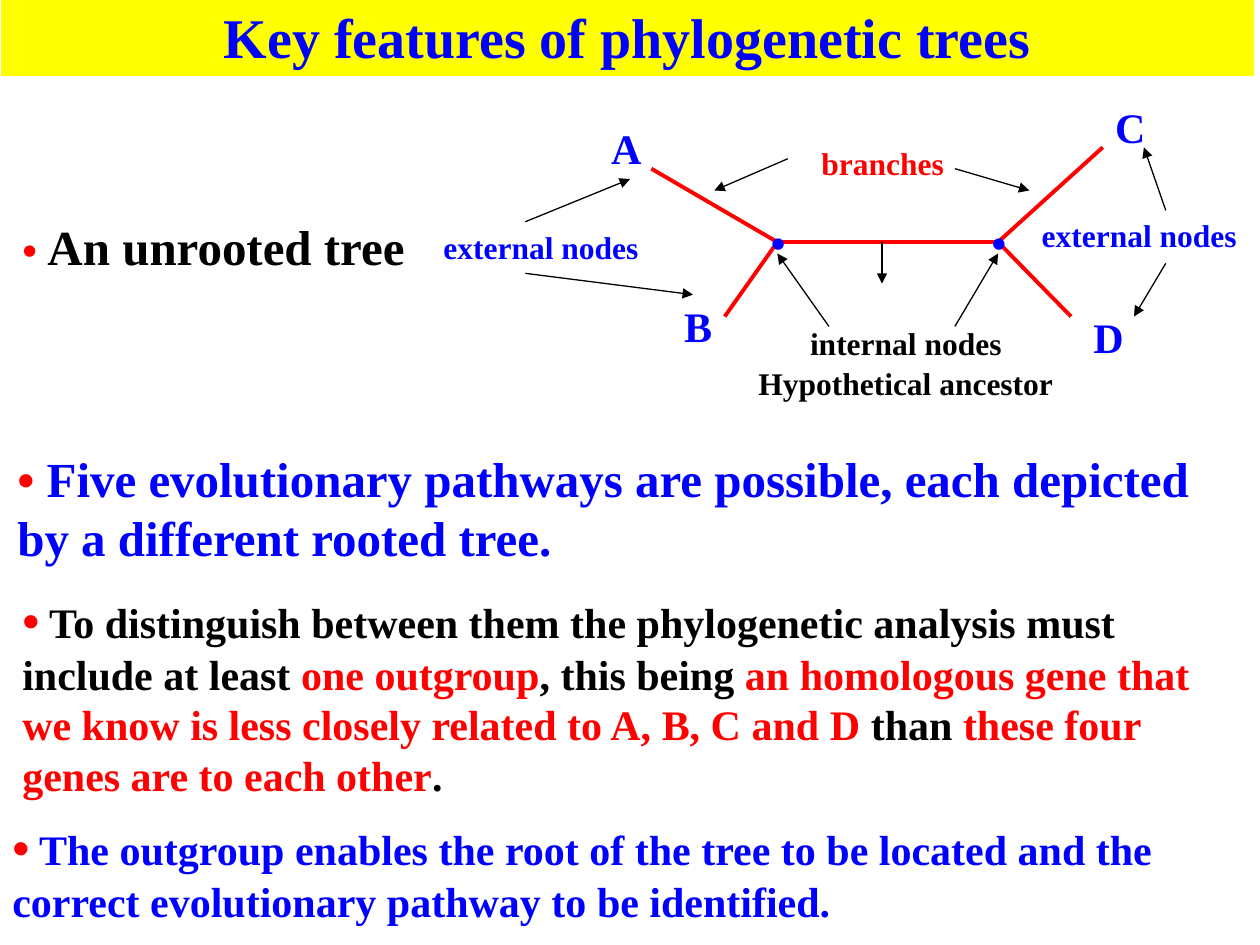
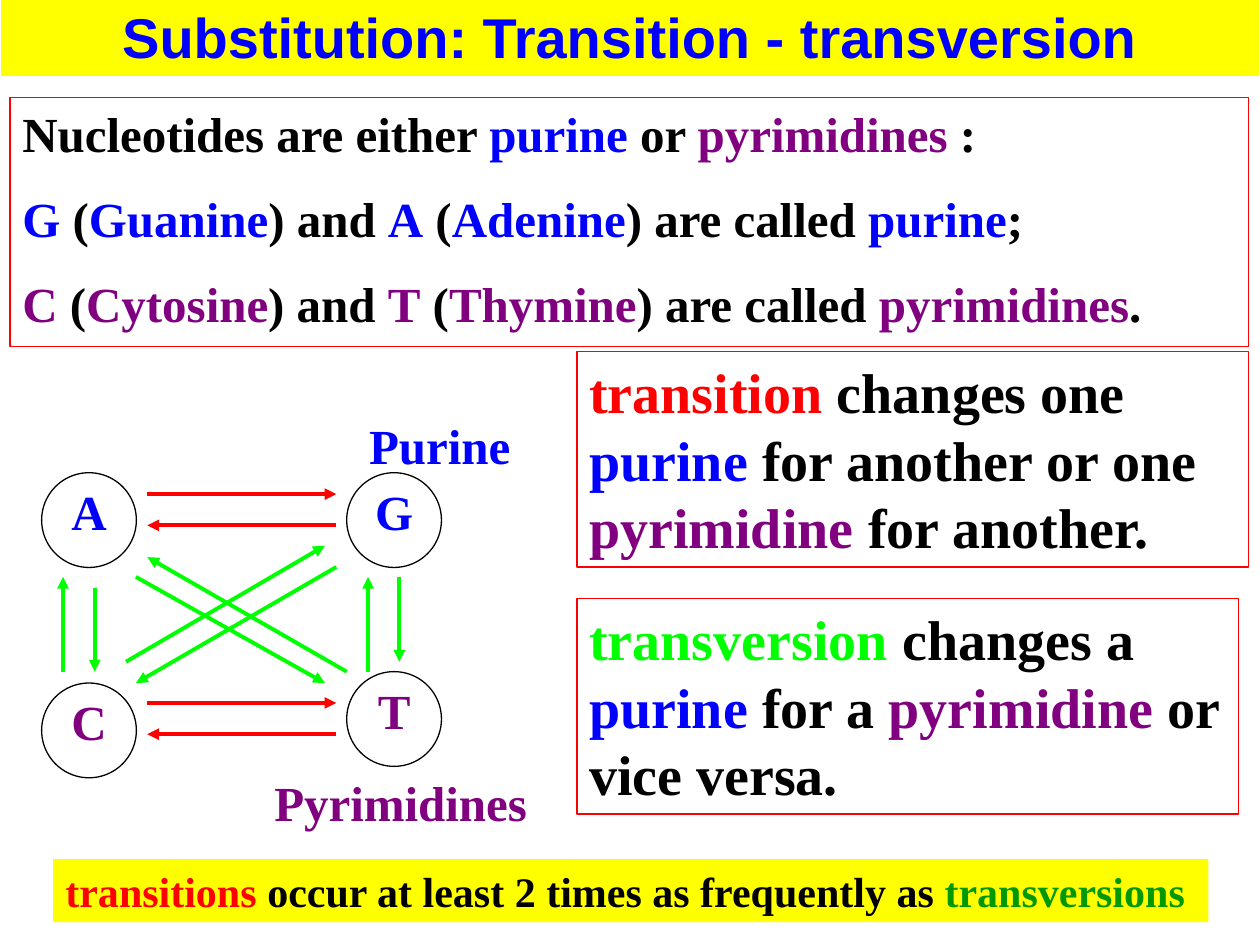
from dataclasses import dataclass
from lxml import etree
from pptx import Presentation
from pptx.dml.color import RGBColor
from pptx.enum import shapes, text
from pptx.oxml import ns
from pptx.util import Cm, Pt


@dataclass
class Theme:
    red: str = "FF0000"
    blue: str = "0000FF"
    black: str = "000000"
    white: str = "FFFFFF"
    yellow: str = "FFFF00"
    purple: str = "800080"
    green: str = "00FF00"
    forest: str = "009900"
    serif: str = "Times New Roman"
    sans: str = "Arial"
    title: int = 32
    large: int = 28
    body: int = 24
    label: int = 18
    thin: float = 0.75
    thick: float = 2.25
    gap: int = 15


t = Theme()
RECT = shapes.MSO_SHAPE.RECTANGLE
OVAL = shapes.MSO_SHAPE.OVAL
LEFT, MID = text.PP_ALIGN.LEFT, text.PP_ALIGN.CENTER


def put(host, at, paras, size, kind=None, fill=None, edge=None,
        face=t.serif, align=LEFT, **fmt):
    """Place a text box, a preset shape or the title; each run is (words, colour[, size])."""
    spot = [Cm(v) for v in at]
    if kind == "title":
        shape = host.title
        shape.left, shape.top, shape.width, shape.height = spot
    elif kind is None:
        shape = host.add_textbox(*spot)
    else:
        shape = host.add_shape(kind, *spot)
    shape.shadow.inherit = False
    if fill:
        shape.fill.solid()
        shape.fill.fore_color.rgb = RGBColor.from_string(fill)
    else:
        shape.fill.background()
    if edge:
        shape.line.color.rgb = RGBColor.from_string(edge)
        shape.line.width = Pt(t.thin)
    else:
        shape.line.fill.background()
    frame = shape.text_frame
    base = {"auto_size": text.MSO_AUTO_SIZE.NONE, "word_wrap": True,
            "vertical_anchor": text.MSO_ANCHOR.TOP}
    for key, val in {**base, **fmt}.items():
        setattr(frame, key, val)
    for i, runs in enumerate(paras):
        para = frame.add_paragraph() if i else frame.paragraphs[0]
        para.alignment = align
        para.space_before = Pt(t.gap if i else 0)
        for words, tint, *own in runs:
            run = para.add_run()
            run.text = words
            look = {"name": face, "size": Pt(own[0] if own else size), "bold": True}
            for key, val in look.items():
                setattr(run.font, key, val)
            run.font.color.rgb = RGBColor.from_string(tint)


def link(host, start, end, tint, width, head=True):
    """Draw a straight line, with an arrowhead at its end if wanted."""
    line = host.add_connector(shapes.MSO_CONNECTOR.STRAIGHT,
                              *[Cm(v) for v in (*start, *end)])
    line.line.color.rgb = RGBColor.from_string(tint)
    line.line.width = Pt(width)
    props = line._element.spPr
    if head:
        etree.SubElement(props.find(ns.qn("a:ln")), ns.qn("a:tailEnd"), type="triangle")
    etree.SubElement(props, ns.qn("a:effectLst"))


deck = Presentation()
deck.slide_width, deck.slide_height = Cm(25.4), Cm(19.05)

# Slides with their title bands
pages = []
for words, wide, face in (
        ("Key features of phylogenetic trees", 25.3, t.serif),
        ("Substitution: Transition - transversion", 25.4, t.sans)):
    page = deck.slides.add_slide(deck.slide_layouts[5]).shapes
    put(page, (0, -0.08, wide, 1.63), [[(words, t.blue)]], t.title, "title",
        t.yellow, t.white, face, MID)
    pages.append(page)
first, second = pages

# Slide 1: unrooted tree
put(first, (0.2, 4.24, 8.89, 1.45),
    [[("• ", t.red, t.body), ("An unrooted tree", t.black)]], t.large)

tree = first.add_group_shape().shapes
west, east = (15.67, 4.88), (20.12, 4.88)
for start, end in (
        (west, east), (west, (13.13, 3.4)), (west, (14.61, 6.38)),
        (east, (22.23, 2.97)), (east, (21.59, 6.38))):
    link(tree, start, end, t.red, t.thick, head=False)

for name, x, y in (("A", 12.07, 2.34), ("B", 13.54, 5.94),
                   ("C", 22.23, 1.93), ("D", 21.79, 6.15)):
    put(tree, (x, y, 1.27, 1.27), [[(name, t.blue)]], t.body)

for words, tint, x, y, wide in (
        ("branches", t.red, 16.31, 2.77, 3.18),
        ("external nodes", t.blue, 8.69, 4.47, 4.88),
        ("external nodes", t.blue, 20.75, 4.24, 4.45),
        ("internal nodes", t.black, 16.08, 6.4, 4.45),
        ("Hypothetical ancestor", t.black, 15.04, 7.21, 6.55)):
    put(tree, (x, y, wide, 1.02), [[(words, tint)]], t.label)

# Pointers from the captions to the tree
for start, end in (
        ((15.88, 3.2), (14.4, 3.84)), ((19.25, 3.4), (20.75, 3.84)),
        ((10.59, 4.47), (12.7, 3.61)), ((10.59, 5.51), (13.97, 5.94)),
        ((23.5, 4.24), (23.06, 2.97)), ((23.5, 5.31), (22.86, 6.38)),
        ((16.71, 6.58), (15.67, 5.11)), ((19.25, 6.58), (20.12, 5.11)),
        ((17.78, 4.88), (17.78, 5.72))):
    link(tree, start, end, t.black, t.thin)

# Dots on the internal nodes
for x, y in (west, east):
    put(tree, (x - 0.38, y - 0.64, 0.81, 1.27), [[("•", t.blue)]], t.body,
        word_wrap=False)

# Slide 1: statements
dot = ("• ", t.red, t.large)
put(first, (0.1, 8.92, 25.3, 2.64), [[
    dot, ("Five evolutionary pathways are possible, each depicted "
          "by a different rooted tree.", t.blue)]], t.large)
put(first, (0.2, 11.76, 25.1, 4.52), [[
    ("•", t.red, t.large),
    (" To distinguish between them the phylogenetic analysis must "
     "include at least ", t.black),
    ("one outgroup", t.red), (", this being ", t.black),
    ("an homologous gene that we know is less closely related to "
     "A, B, C and D ", t.red),
    ("than", t.black), (" these four genes are to each other", t.red),
    (".", t.black)]], t.body)
put(first, (0, 16.33, 25.3, 2.49), [[
    ("•", t.red, t.large),
    (" The outgroup enables the root of the tree to be located and the "
     "correct evolutionary pathway to be identified.", t.blue)]], t.body)

# Slide 2: framed definitions
put(second, (0.2, 1.96, 24.97, 5.03), [
    [("Nucleotides are either ", t.black), ("purine", t.blue), (" or ", t.black),
     ("pyrimidines", t.purple), (" :", t.black)],
    *[[(a, tint), (" (", t.black), (long_a, tint), (") and ", t.black),
       (b, tint), (" (", t.black), (long_b, tint), (") are called ", t.black),
       (group, tint), (stop, t.black)]
      for a, long_a, b, long_b, group, stop, tint in (
          ("G", "Guanine", "A", "Adenine", "purine", ";", t.blue),
          ("C", "Cytosine", "T", "Thymine", "pyrimidines", ".", t.purple))],
], t.large, RECT, edge=t.red)

for y, wide, runs in (
        (7.09, 13.54, [
            ("transition", t.red), (" changes one ", t.black), ("purine", t.blue),
            (" for another or one ", t.black), ("pyrimidine", t.purple),
            (" for another.", t.black)]),
        (12.07, 13.34, [
            ("transversion", t.green), (" changes a ", t.black), ("purine", t.blue),
            (" for a ", t.black), ("pyrimidine", t.purple),
            (" or vice versa.", t.black)])):
    put(second, (11.63, y, wide, 4.34), [runs], t.title, RECT, edge=t.red)

put(second, (1.07, 17.32, 23.29, 1.27), [[
    ("transitions", t.red), (" occur at least 2 times as frequently as ", t.black),
    ("transversions", t.forest)]], t.body, RECT, t.yellow)

# Slide 2: nucleotide diagram
chart = second.add_group_shape().shapes
for name, x, y, tint in (("A", 0.84, 9.53, t.blue), ("G", 6.99, 9.53, t.blue),
                         ("C", 0.84, 13.77, t.purple), ("T", 6.99, 13.54, t.purple)):
    put(chart, (x, y, 1.91, 1.91), [[(name, tint)]], t.large, OVAL, t.white,
        t.black, align=MID, word_wrap=False, margin_top=0,
        margin_bottom=Cm(0.38), vertical_anchor=text.MSO_ANCHOR.MIDDLE)

# Transitions: a pair of arrows in each row
for y in (9.96, 14.17):
    link(chart, (2.97, y), (6.78, y), t.red, t.thick)
    link(chart, (6.78, y + 0.63), (2.97, y + 0.63), t.red, t.thick)

# Transversions: columns and diagonals
for start, end in (
        ((1.27, 13.54), (1.27, 11.63)), ((1.91, 11.86), (1.91, 13.54)),
        ((7.42, 13.54), (7.42, 11.63)), ((8.05, 11.63), (8.05, 13.34)),
        ((2.54, 13.34), (6.55, 11)), ((6.78, 11.43), (2.74, 13.77)),
        ((6.99, 13.54), (2.97, 11.23)), ((2.74, 11.63), (6.55, 13.77))):
    link(chart, start, end, t.green, t.thick)

for words, tint, x, y, wide in (("Purine", t.blue, 7.19, 8.26, 3.81),
                                ("Pyrimidines", t.purple, 5.28, 15.44, 5.72)):
    put(chart, (x, y, wide, 1.45), [[(words, tint)]], t.large)

deck.save("out.pptx")
